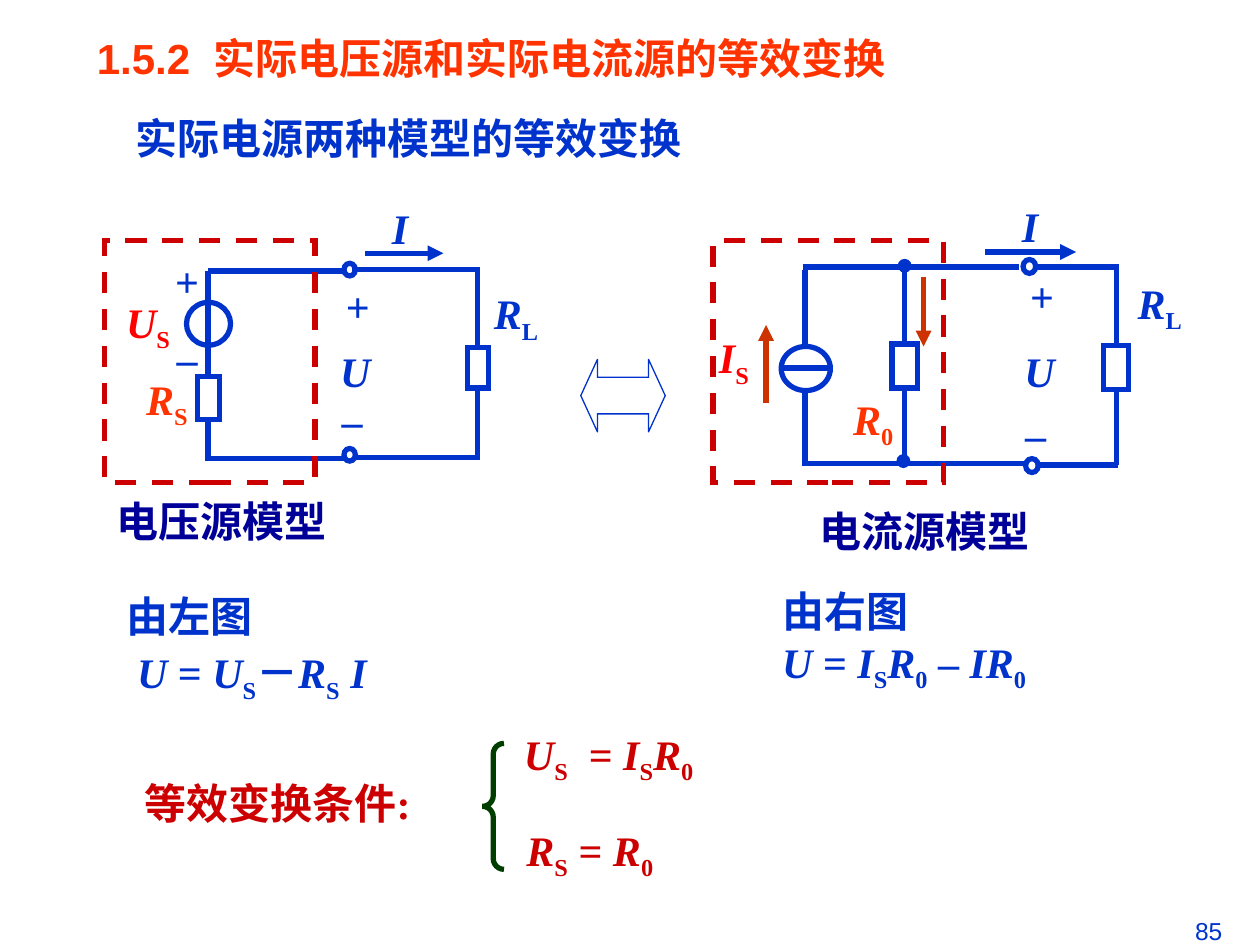
"""Build a slide on the equivalent conversion of practical voltage and current sources."""
from lxml import etree
from pptx import Presentation
from pptx.dml.color import RGBColor
from pptx.enum.dml import MSO_LINE
from pptx.enum.shapes import MSO_CONNECTOR, MSO_SHAPE
from pptx.enum.text import MSO_ANCHOR, PP_ALIGN
from pptx.oxml.ns import qn
from pptx.util import Inches, Pt

STRAIGHT = MSO_CONNECTOR.STRAIGHT
RECTANGLE, OVAL = MSO_SHAPE.RECTANGLE, MSO_SHAPE.OVAL
BRACE, DOUBLE_ARROW = MSO_SHAPE.LEFT_BRACE, MSO_SHAPE.LEFT_RIGHT_ARROW
DASH = MSO_LINE.DASH
LEFT, CENTER, RIGHT = PP_ALIGN.LEFT, PP_ALIGN.CENTER, PP_ALIGN.RIGHT
TOP, MIDDLE = MSO_ANCHOR.TOP, MSO_ANCHOR.MIDDLE

BLUE = RGBColor(0x00, 0x33, 0xCC)
NAVY = RGBColor(0x00, 0x00, 0x99)
RED = RGBColor(0xFF, 0x00, 0x00)
ORANGE = RGBColor(0xFF, 0x33, 0x00)
CRIMSON = RGBColor(0xCC, 0x00, 0x00)
RUST = RGBColor(0xCC, 0x33, 0x00)
GREEN = RGBColor(0x00, 0x3E, 0x00)

SANS, SERIF = "Arial", "Times New Roman"

HEADINGS = [
    ((0.67, 0.21, 6.68, 0.75), "1.5.2  实际电压源和实际电流源的等效变换", ORANGE),
    ((0.98, 0.84, 6.68, 0.75), "实际电源两种模型的等效变换", BLUE),
]
STATEMENTS = [
    ((0.91, 4.6, 2.7, 1.04), ["由左图", "U| = |U|_S|－|R|_S| |I"], BLUE, 1.1, 0.08),
    ((6.11, 4.6, 2.92, 0.96), ["由右图", "U| = |I|_S|R|_0| – |IR|_0"], BLUE, 1, 0),
    ((1.05, 6.12, 2.39, 0.5), ["等效变换条件:"], CRIMSON, 1, 0),
    ((4.06, 5.64, 2.25, 0.65), ["U|_S|  = |I|_S|R|_0"], CRIMSON, 1.2, 0),
    ((4.08, 6.4, 2.25, 0.65), ["R|_S| = |R|_0"], CRIMSON, 1.2, 0),
]
LABELS = [
    ((3.01, 1.56, 0.33, 0.5), ["I"], BLUE),
    ((3.82, 2.23, 0.55, 0.56), ["R|_L"], BLUE),
    ((1.06, 2.91, 0.53, 0.56), ["R|_S"], ORANGE),
    ((1.31, 1.98, 0.35, 1.11), ["+", "–"], BLUE),
    ((0.9, 2.3, 0.55, 0.56), ["U|_S"], RED),
    ((2.6, 2.69, 0.44, 0.5), ["U"], BLUE),
    ((2.52, 2.18, 0.64, 0.5), ["+"], BLUE),
    ((2.58, 3.08, 0.43, 0.5), ["–"], BLUE),
    ((0.87, 3.88, 1.77, 0.5), ["电压源模型"], NAVY),
    ((8.01, 1.54, 0.33, 0.5), ["I"], BLUE),
    ((8.93, 2.15, 0.55, 0.56), ["R|_L"], BLUE),
    ((6.67, 3.07, 0.52, 0.56), ["R|_0"], ORANGE),
    ((5.61, 2.58, 0.43, 0.56), ["I|_S"], RED),
    ((8.03, 2.69, 0.44, 0.5), ["U"], BLUE),
    ((7.96, 2.1, 0.62, 0.5), ["+"], BLUE),
    ((7.91, 3.19, 0.62, 0.5), ["–"], BLUE),
    ((6.45, 3.96, 1.77, 0.5), ["电流源模型"], NAVY),
]
WIRES = [
    (1.65, 2.15, 2.73, 2.15), (2.79, 2.14, 3.81, 2.14),
    (1.65, 3.64, 2.74, 3.64), (2.82, 3.63, 3.81, 3.63),
    (1.65, 2.15, 1.65, 2.99), (1.65, 3.33, 1.65, 3.66),
    (3.79, 2.14, 3.79, 2.76), (3.79, 3.09, 3.79, 3.65),
    (6.37, 2.12, 8.09, 2.12), (8.22, 2.12, 8.88, 2.12),
    (6.37, 3.68, 8.14, 3.68), (8.24, 3.69, 8.87, 3.69),
    (6.39, 2.14, 6.39, 2.75), (6.39, 3.09, 6.39, 3.7),
    (7.18, 2.12, 7.18, 2.73), (7.18, 3.07, 7.18, 3.68),
    (8.86, 2.13, 8.86, 2.74), (8.86, 3.08, 8.86, 3.69),
    (6.2, 2.92, 6.59, 2.92),
]
CURRENTS = [
    ((2.9, 2.01, 3.52, 2.01), BLUE), ((7.82, 2, 8.54, 2), BLUE),
    ((7.33, 2.2, 7.33, 2.75), RUST), ((6.08, 3.2, 6.08, 2.58), RUST),
]
RESISTORS = [(1.57, 2.99, 0.17, 0.34), (3.71, 2.76, 0.17, 0.32),
             (7.08, 2.73, 0.2, 0.35), (8.76, 2.74, 0.2, 0.35)]
SOURCES = [(1.48, 2.4, 0.35, 0.34), (6.2, 2.75, 0.39, 0.35)]
TERMINALS = [(2.73, 2.09, 0.09, 0.1), (2.73, 3.56, 0.09, 0.1),
             (8.12, 2.06, 0.1, 0.11), (8.14, 3.64, 0.1, 0.11)]
NODES = [(7.13, 2.06, 0.1, 0.1), (7.12, 3.61, 0.1, 0.1)]
MODEL_FRAMES = [(0.83, 1.91, 1.67, 1.92), (5.66, 1.91, 1.83, 1.92)]


def add_text(slide, place, lines, color, font=SERIF, size=24, bold=True, align=LEFT,
             anchor=TOP, inset=0.1, spacing=1, gap=0, indent=0):
    frame = slide.shapes.add_textbox(*map(Inches, place)).text_frame
    frame.word_wrap = True
    frame.vertical_anchor = anchor
    frame.margin_left = frame.margin_right = Inches(inset)
    for index, line in enumerate(lines):
        paragraph = frame.paragraphs[0] if index == 0 else frame.add_paragraph()
        paragraph.alignment = align
        paragraph.line_spacing = spacing
        if index:
            paragraph.space_before = Pt(gap)
            paragraph._p.get_or_add_pPr().set("marL", str(Inches(indent)))
        paragraph.font.name = font
        paragraph.font.size = Pt(size)
        paragraph.font.bold = bold
        paragraph.font.color.rgb = color
        for part in line.split("|"):
            run = paragraph.add_run()
            run.text = part.removeprefix("_")
            if part.startswith("_"):
                run.font._element.set("baseline", "-25000")
            elif part.isascii() and part.isalpha():
                run.font.italic = True


def add_outline(slide, kind, place, color=BLUE, width=3, dash=None, fill=None, adjustments=()):
    shape = slide.shapes.add_shape(kind, *map(Inches, place))
    shape.shadow.inherit = False
    if fill is None:
        shape.fill.background()
    else:
        shape.fill.solid()
        shape.fill.fore_color.rgb = fill
    shape.line.color.rgb = color
    shape.line.width = Pt(width)
    if dash is not None:
        shape.line.dash_style = dash
    etree.SubElement(shape.line._get_or_add_ln(), qn("a:miter"), lim="800000")
    for index, value in enumerate(adjustments):
        shape.adjustments[index] = value


def add_wire(slide, ends, color=BLUE, arrow=False):
    wire = slide.shapes.add_connector(STRAIGHT, *map(Inches, ends))
    wire.line.color.rgb = color
    wire.line.width = Pt(3)
    if arrow:
        etree.SubElement(wire.line._get_or_add_ln(), qn("a:tailEnd"), type="triangle")
    etree.SubElement(wire._element.spPr, qn("a:effectLst"))


def main():
    deck = Presentation()
    deck.slide_width, deck.slide_height = Inches(10), Inches(7.5)
    slide = deck.slides.add_slide(deck.slide_layouts[6])

    for place, heading, color in HEADINGS:
        add_text(slide, place, [heading], color, font=SANS)
    for place, lines, color, spacing, indent in STATEMENTS:
        add_text(slide, place, lines, color, spacing=spacing, indent=indent)
    for place, lines, color in LABELS:
        add_text(slide, place, lines, color, align=CENTER, anchor=MIDDLE, inset=0, gap=15)
    add_text(slide, (7.3, 7.22, 2.5, 0.52), ["85"], BLUE, font=SANS, size=14,
             bold=False, align=RIGHT)

    for ends in WIRES:
        add_wire(slide, ends)
    for ends, color in CURRENTS:
        add_wire(slide, ends, color, arrow=True)
    for place in RESISTORS:
        add_outline(slide, RECTANGLE, place)
    for place in SOURCES + TERMINALS:
        add_outline(slide, OVAL, place)
    for place in NODES:
        add_outline(slide, OVAL, place, width=0.75, fill=BLUE)
    for place in MODEL_FRAMES:
        add_outline(slide, RECTANGLE, place, CRIMSON, dash=DASH)
    add_outline(slide, DOUBLE_ARROW, (4.61, 2.85, 0.67, 0.58), width=0.75,
                adjustments=(0.5, 0.23))
    add_outline(slide, BRACE, (3.83, 5.9, 0.17, 1), GREEN, adjustments=(0.5, 0.5))

    deck.save("out.pptx")


if __name__ == "__main__":
    main()
